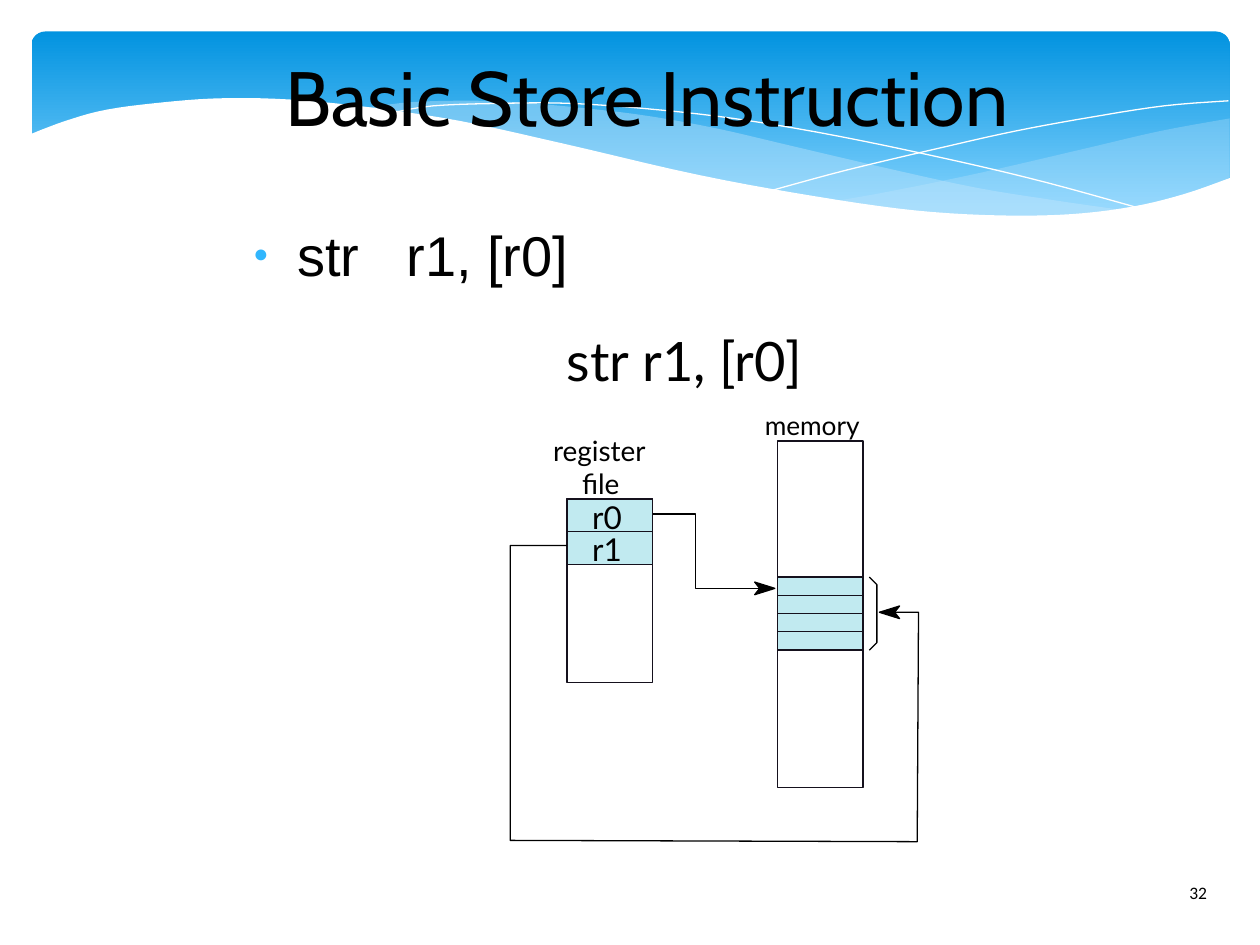
from lxml import etree
from pptx import Presentation
from pptx.dml.color import RGBColor
from pptx.enum.shapes import MSO_SHAPE
from pptx.enum.text import MSO_ANCHOR, MSO_AUTO_SIZE, PP_ALIGN
from pptx.oxml.ns import qn
from pptx.util import Inches, Pt

RECT, ROUND = MSO_SHAPE.RECTANGLE, MSO_SHAPE.ROUNDED_RECTANGLE
MIDDLE, TOP = MSO_ANCHOR.MIDDLE, MSO_ANCHOR.TOP
LEFT, CENTER = PP_ALIGN.LEFT, PP_ALIGN.CENTER
NO_FIT, GROW = MSO_AUTO_SIZE.NONE, MSO_AUTO_SIZE.SHAPE_TO_FIT_TEXT

COLORS = {"sky": "0293E0", "pale": "83D3FE", "wave": "C6E7FC", "white": "FFFFFF",
          "cell": "C1EAF0", "edge": "15111D", "ink": "000000", "bullet": "31B6FD"}

# Content
TITLE = "Basic Store Instruction"
CODE = ("str", "r1, [r0]")
NUMBER = "32"
REGS = ["r0", "r1"]
LABELS = [  # text, left, top, width, height, size
    (" ".join(CODE), 4.5, 2.6, 2.03, 0.57, 31),
    ("register", 4.39, 3.44, 0.84, 0.3, 16),
    ("file", 4.62, 3.7, 0.4, 0.3, 16),
    ("memory", 6.07, 3.25, 0.9, 0.3, 15),
]

# Banner waves: points that the curves run through
EAST_TOP = [(9.76, 0.94), (9.21, 1.04), (8.61, 1.18), (7.79, 1.37), (7.06, 1.52), (6.61, 1.6)]
EAST_LOW = [(6.61, 1.6), (7.19, 1.67), (7.81, 1.72), (8.35, 1.72), (8.81, 1.67),
            (9.21, 1.6), (9.49, 1.52), (9.76, 1.41)]
MID_TOP = [(8.93, 1.67), (8.37, 1.59), (7.75, 1.49), (7.06, 1.34), (6.29, 1.16), (5.69, 1.02),
           (5.14, 0.92), (4.65, 0.86), (4.2, 0.82), (3.8, 0.8), (3.28, 0.81), (2.86, 0.86)]
MID_LOW = [(2.86, 0.86), (3.42, 0.94), (4.04, 1.06), (4.91, 1.26), (5.66, 1.43), (6.34, 1.56),
           (6.95, 1.65), (7.48, 1.7), (8.07, 1.73), (8.57, 1.71), (8.93, 1.67)]
FALLING = [(3.09, 0.9), (3.44, 0.84), (4.01, 0.82), (4.5, 0.82), (5.1, 0.86), (5.82, 0.94),
           (6.65, 1.08), (7.6, 1.28), (8.31, 1.45), (9.07, 1.66)]
RISING = [(6.13, 1.51), (6.72, 1.35), (7.48, 1.17), (8.06, 1.04), (8.66, 0.93),
          (9.24, 0.84), (9.75, 0.8)]
SHORE = [(9.77, 1.41), (9.4, 1.54), (8.99, 1.64), (8.5, 1.7), (7.93, 1.71), (7.26, 1.67),
         (6.48, 1.56), (5.55, 1.39), (4.47, 1.14), (3.65, 0.96), (2.92, 0.85), (2.3, 0.79),
         (1.77, 0.78), (1.32, 0.81), (0.85, 0.87), (0.52, 0.96), (0.23, 1.07)]

# Diagram grid
REG_X, REG_Y, REG_H = 4.5, 3.96, 0.26
MEM_X, MEM_Y, CELL_Y, CELL_H, CELLS = 6.17, 3.5, 4.58, 0.145, 4
COL_W = 0.68


def rgb(name):
    return RGBColor.from_string(COLORS[name])


def paint(shape, fill=None, line=None, alpha=None):
    shape.shadow.inherit = False
    if fill:
        shape.fill.solid()
        shape.fill.fore_color.rgb = rgb(fill)
        if alpha:
            color = shape.element.spPr.find(".//" + qn("a:srgbClr"))
            etree.SubElement(color, qn("a:alpha"), val=str(alpha * 1000))
    else:
        shape.fill.background()
    if line:
        shape.line.color.rgb = rgb(line)
        shape.line.width = Pt(0)
    else:
        shape.line.fill.background()
    return shape


def box(x, y, w, h, **look):
    return paint(shapes.add_shape(RECT, Inches(x), Inches(y), Inches(w), Inches(h)), **look)


def trace(pts, close=False, **look):
    ends = [(Inches(x), Inches(y)) for x, y in pts]
    pen = shapes.build_freeform(*ends[0])
    pen.add_line_segments(ends[1:], close=close)
    return paint(pen.convert_to_shape(), **look)


def curve(pts, steps=5):
    """Sample a Catmull-Rom spline through the points."""
    full = [pts[0], *pts, pts[-1]]
    out = [pts[0]]
    for a, b, c, d in zip(full, full[1:], full[2:], full[3:]):
        for i in range(1, steps + 1):
            t = i / steps
            out.append(tuple(
                (2 * q + (r - p) * t + (2 * p - 5 * q + 4 * r - s) * t ** 2
                 + (3 * q - p - 3 * r + s) * t ** 3) / 2
                for p, q, r, s in zip(a, b, c, d)))
    return out


def write(runs, x, y, w, h, holder=None, size=18, font="Lato", align=LEFT,
          anchor=TOP, wrap=False, fit=GROW, inset=(0, 0)):
    area = [Inches(v) for v in (x, y, w, h)]
    shape = holder or shapes.add_textbox(*area)
    shape.left, shape.top, shape.width, shape.height = area
    frame = shape.text_frame
    frame.word_wrap, frame.auto_size, frame.vertical_anchor = wrap, fit, anchor
    frame.margin_left = frame.margin_right = Inches(inset[0])
    frame.margin_top = frame.margin_bottom = Inches(inset[1])
    para = frame.paragraphs[0]
    para.alignment, para.space_before = align, Pt(0)
    for text in [runs] if isinstance(runs, str) else runs:
        run = para.add_run()
        run.text = text
        run.font.size, run.font.name = Pt(size), font
        run.font.color.rgb = rgb("ink")
    return para


deck = Presentation()
deck.slide_width, deck.slide_height = Inches(10), Inches(7.5)
slide = deck.slides.add_slide(deck.slide_layouts[1])
shapes = slide.shapes
title, body = shapes.title, slide.placeholders[1]

# Banner
banner = paint(shapes.add_shape(ROUND, Inches(0.25), Inches(0.25), Inches(9.51), Inches(1.56)))
banner.adjustments[0] = 0.07
banner.fill.gradient()
banner.fill.gradient_angle = 270
for stop, (name, place) in zip(banner.fill.gradient_stops, [("sky", 0), ("pale", 0.9)]):
    stop.color.rgb, stop.position = rgb(name), place
trace(curve(EAST_TOP) + curve(EAST_LOW), close=True, fill="wave", alpha=29)
trace(curve(MID_TOP) + curve(MID_LOW), close=True, fill="wave", alpha=40)
for line in (FALLING, RISING):
    trace(curve(line), line="white")
trace(curve(SHORE) + [(0.23, 2.24), (9.77, 2.24)], close=True, fill="white")

# Title and bullet, in front of the banner
for holder in (title, body):
    shapes.element.append(holder.element)
write(TITLE, 1.08, 0.25, 8.11, 1.02, holder=title, size=44, font="Cabin",
      align=CENTER, anchor=MIDDLE, wrap=True, fit=NO_FIT)
item = write([CODE[0], " ", CODE[1]], 1.89, 1.75, 8.11, 0.61, holder=body, size=32,
             font="Arial", wrap=True, fit=NO_FIT)
item.space_after = Pt(14.1)
item.runs[1].font._element.set("spc", "1780")  # widens the gap after the opcode
props = item._p.get_or_add_pPr()
props.set("marL", str(Inches(0.47)))
props.set("indent", str(Inches(-0.35)))
tint = etree.SubElement(props, qn("a:buClr"))
etree.SubElement(tint, qn("a:srgbClr"), val=COLORS["bullet"])
etree.SubElement(props, qn("a:buSzPct"), val="45000")
etree.SubElement(props, qn("a:buChar"), char="●")
write(NUMBER, 9.34, 6.95, 0.61, 0.4, size=10, font="Calibri", wrap=True,
      fit=NO_FIT, inset=(0.1, 0.05))

# Register file and memory
for i, name in enumerate(REGS):
    top = REG_Y + i * REG_H
    box(REG_X, top, COL_W, REG_H, fill="cell", line="edge")
    write(name, REG_X + 0.2, top - 0.01, 0.33, 0.34)
for i in range(CELLS):
    box(MEM_X, CELL_Y + i * CELL_H, COL_W, CELL_H, fill="cell", line="edge")
box(REG_X, REG_Y, COL_W, 1.46, line="edge")
box(MEM_X, MEM_Y, COL_W, 2.75, line="edge")
for text, x, y, w, h, size in LABELS:
    write(text, x, y, w, h, size=size)

# Address and data routes, each with a barbed head, and the word bracket
ROUTES = [[(5.18, 4.08), (5.52, 4.08), (5.52, 4.67), (6.15, 4.67)],
          [(4.5, 4.33), (4.05, 4.33), (4.05, 6.67), (7.28, 6.68), (7.29, 4.86), (6.98, 4.86)]]
for route in ROUTES:
    trace(route, line="ink")
    x, y = route[-1]
    way = 1 if x > route[-2][0] else -1
    back = x - 0.16 * way
    trace([(x - 0.12 * way, y), (back, y + 0.05), (x, y), (back, y - 0.05)],
          close=True, fill="ink", line="ink")
end = CELL_Y + CELLS * CELL_H
trace([(6.9, CELL_Y), (6.96, CELL_Y + 0.06), (6.96, end - 0.06), (6.9, end)], line="ink")

deck.save("out.pptx")
